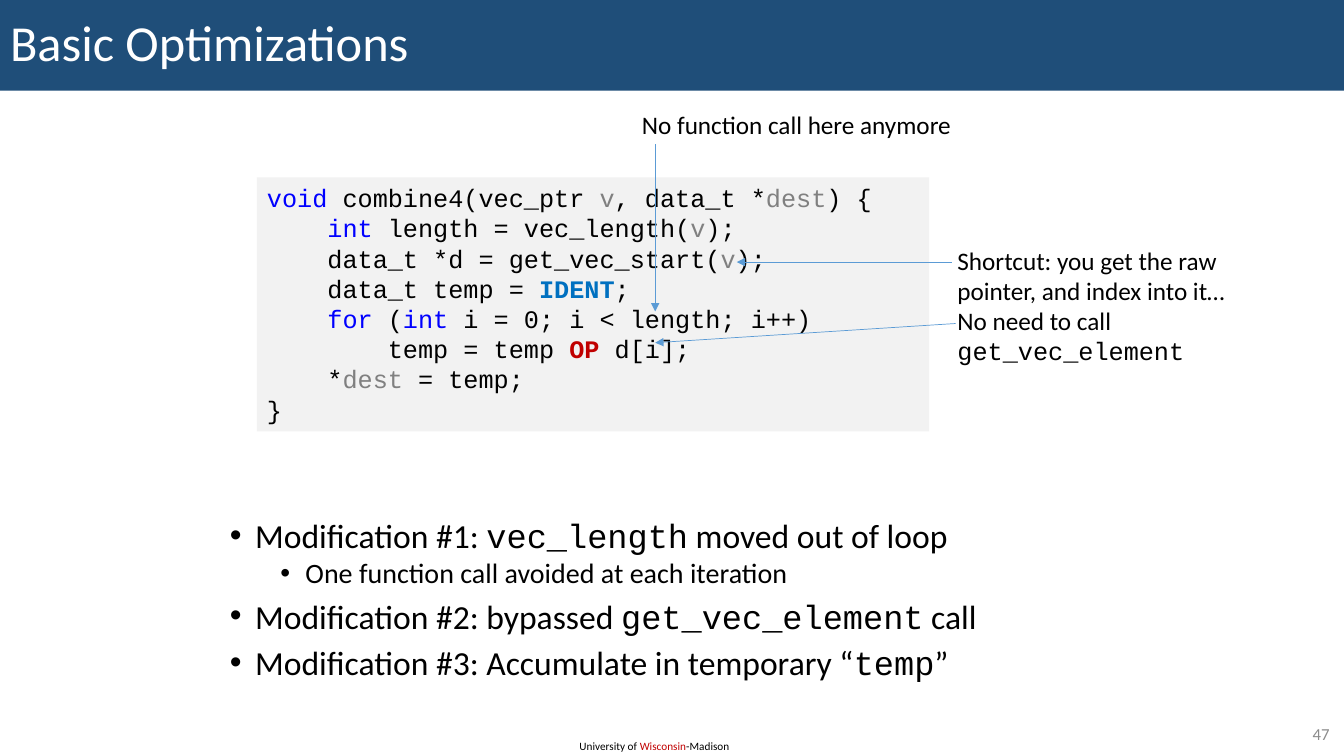
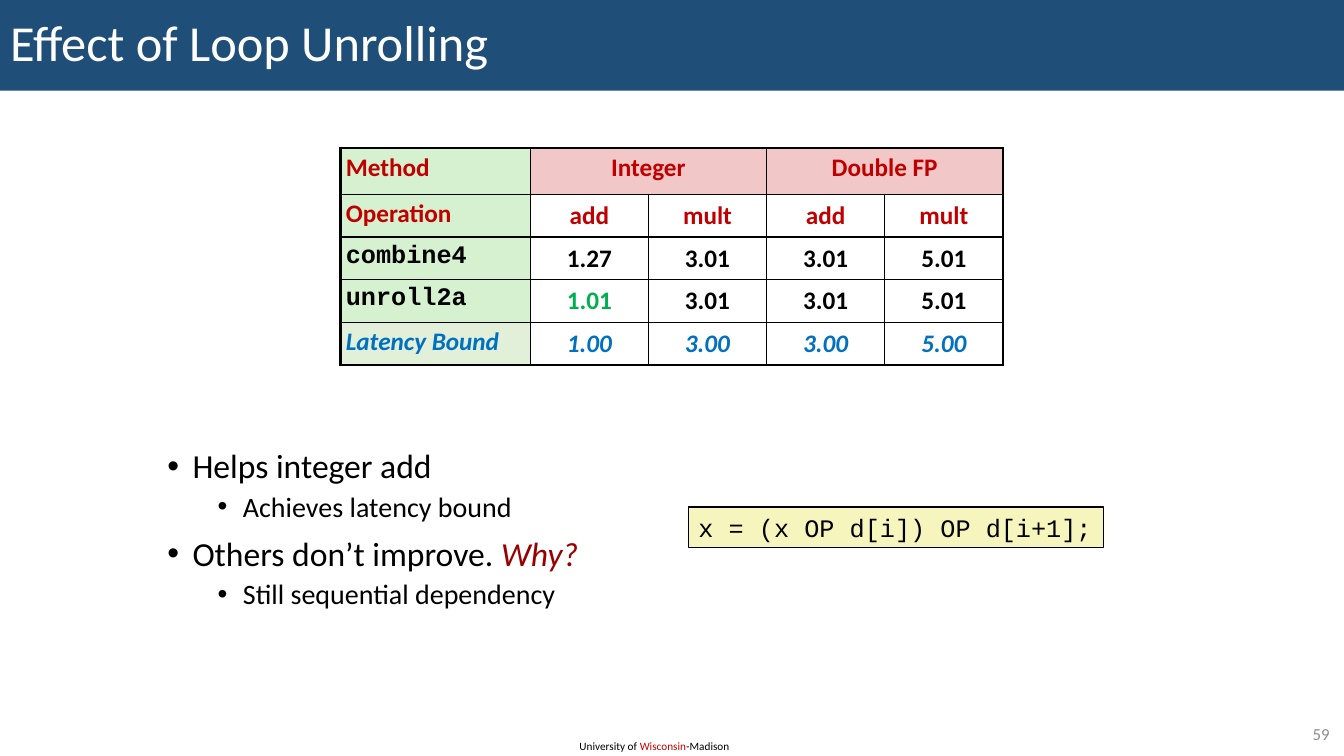
from dataclasses import dataclass
from typing import NamedTuple, Optional, Sequence

from lxml import etree
from pptx import Presentation
from pptx import util as u
from pptx.dml import color as dml
from pptx.enum import shapes, text
from pptx.oxml import ns

Pt = u.Pt


@dataclass(frozen=True)
class Theme:
    sans: str = "Calibri"
    mono: str = "Courier New"
    black: str = "000000"
    white: str = "FFFFFF"
    band: str = "1F4E79"
    red: str = "C00000"
    question: str = "990000"
    blue: str = "0070C0"
    green: str = "00B050"
    keyword: str = "0000FF"
    argument: str = "808080"
    page: str = "8C8C8C"
    arrow: str = "5B9BD5"
    code_fill: str = "F2F2F2"
    snippet_fill: str = "F6F5BD"
    method_fill: str = "D5F1CF"
    bound_fill: str = "E2F0D9"
    type_fill: str = "F1C7C7"
    title_size: float = 36
    bullet_sizes: tuple = (24, 20)
    text_size: float = 18
    page_size: float = 12
    footer_size: float = 8


THEME = Theme()


class Box(NamedTuple):
    left: float
    top: float
    width: float
    height: float

    def lengths(self) -> list:
        return [Pt(value) for value in self]


class Run(NamedTuple):
    text: str
    color: str = THEME.black
    font: str = THEME.sans
    bold: bool = False
    italic: bool = False


class Bullet(NamedTuple):
    level: int
    runs: Sequence[Run]


class Arrow(NamedTuple):
    x1: float
    y1: float
    x2: float
    y2: float


class Cell(NamedTuple):
    run: Run
    fill: Optional[str] = None
    span: int = 1


def code(words: str, color: str = THEME.black, bold: bool = False) -> Run:
    return Run(words, color, THEME.mono, bold)


def keyword(words: str) -> Run:
    return code(words, THEME.keyword)


def argument(words: str) -> Run:
    return code(words, THEME.argument)


def heading(words: str) -> Run:
    return Run(words, THEME.red, bold=True)


def rgb(value: str) -> dml.RGBColor:
    return dml.RGBColor.from_string(value)


def add_runs(paragraph, runs: Sequence[Run], size: float) -> None:
    """Append runs; a newline inside a run becomes a line break."""
    for item in runs:
        for index, line in enumerate(item.text.split("\n")):
            if index:
                paragraph.add_line_break()
            if not line:
                continue
            run = paragraph.add_run()
            run.text = line
            run.font.name, run.font.size = item.font, Pt(size)
            run.font.bold, run.font.italic = item.bold, item.italic
            run.font.color.rgb = rgb(item.color)


def paragraphs_for(frame, count: int) -> list:
    return [frame.paragraphs[0]] + [frame.add_paragraph() for _ in range(count - 1)]


def write_lines(frame, lines: Sequence[Sequence[Run]], size: float,
                align=text.PP_ALIGN.LEFT, spacing: Optional[float] = None) -> None:
    for paragraph, runs in zip(paragraphs_for(frame, len(lines)), lines):
        paragraph.alignment = align
        paragraph.line_spacing = spacing
        add_runs(paragraph, runs, size)


def add_label(slide, box: Box, runs: Sequence[Run], size: float = THEME.text_size):
    frame = slide.shapes.add_textbox(*box.lengths()).text_frame
    frame.word_wrap = False
    frame.auto_size = text.MSO_AUTO_SIZE.SHAPE_TO_FIT_TEXT
    write_lines(frame, [runs], size)


def add_code_panel(slide, box: Box, lines: Sequence[Sequence[Run]], fill: str,
                   outline: Optional[str] = None) -> None:
    panel = slide.shapes.add_shape(shapes.MSO_SHAPE.RECTANGLE, *box.lengths())
    panel.shadow.inherit = False
    panel.fill.solid()
    panel.fill.fore_color.rgb = rgb(fill)
    if outline:
        panel.line.color.rgb, panel.line.width = rgb(outline), Pt(1)
    else:
        panel.line.fill.background()
    frame = panel.text_frame
    frame.word_wrap = outline is None
    frame.auto_size = text.MSO_AUTO_SIZE.SHAPE_TO_FIT_TEXT
    frame.vertical_anchor = text.MSO_ANCHOR.TOP
    write_lines(frame, lines, THEME.text_size)


def add_arrow(slide, arrow: Arrow) -> None:
    connector = slide.shapes.add_connector(
        shapes.MSO_CONNECTOR.STRAIGHT, *[Pt(value) for value in arrow])
    connector.line.color.rgb, connector.line.width = rgb(THEME.arrow), Pt(0.5)
    properties = connector._element.spPr
    etree.SubElement(properties.find(ns.qn("a:ln")), ns.qn("a:tailEnd"), type="triangle")
    etree.SubElement(properties, ns.qn("a:effectLst"))


def place(placeholder, box: Box, anchor):
    placeholder.left, placeholder.top, placeholder.width, placeholder.height = box.lengths()
    frame = placeholder.text_frame
    frame.word_wrap = True
    frame.auto_size = text.MSO_AUTO_SIZE.NONE
    frame.vertical_anchor = anchor
    return frame


def add_bullets(slide, box: Box, bullets: Sequence[Bullet], spacing: float) -> None:
    frame = place(slide.placeholders[1], box, text.MSO_ANCHOR.TOP)
    for index, bullet in enumerate(bullets):
        paragraph = frame.paragraphs[0] if index == 0 else frame.add_paragraph()
        paragraph.level = bullet.level
        paragraph.line_spacing = spacing
        paragraph.space_before = Pt((10, 5)[bullet.level] if index else 0)
        properties = paragraph._p.get_or_add_pPr()
        properties.set("marL", str(Pt(18 + 36 * bullet.level)))
        properties.set("indent", str(Pt(-18)))
        etree.SubElement(properties, ns.qn("a:buFont"), typeface="Arial")
        etree.SubElement(properties, ns.qn("a:buChar"), char="•")
        add_runs(paragraph, bullet.runs, THEME.bullet_sizes[bullet.level])


def add_slide(deck, title: str, number: int):
    """Add a slide with the title band, footer and page number."""
    slide = deck.slides.add_slide(deck.slide_layouts[1])
    band = slide.shapes.title
    frame = place(band, Box(0, 0, 960, 64.8), text.MSO_ANCHOR.MIDDLE)
    band.fill.solid()
    band.fill.fore_color.rgb = rgb(THEME.band)
    write_lines(frame, [[Run(title, THEME.white)]], THEME.title_size, spacing=0.9)
    add_label(slide, Box(406.8, 524.2, 123.8, 17.3),
              [Run("University of "), Run("Wisconsin", THEME.red), Run("-Madison")],
              THEME.footer_size)
    page = slide.shapes.add_textbox(*Box(902.2, 513.4, 54.7, 20.9).lengths()).text_frame
    page.word_wrap = True
    page.vertical_anchor = text.MSO_ANCHOR.MIDDLE
    write_lines(page, [[Run(str(number), THEME.page)]], THEME.page_size,
                text.PP_ALIGN.RIGHT)
    return slide


def set_borders(cell, outer: dict) -> None:
    """Draw thick lines on the outer sides and thin ones elsewhere."""
    properties = cell._tc.get_or_add_tcPr()
    for side in "LRTB":
        width = Pt(2.25 if outer[side] else 1)
        line = etree.SubElement(properties, ns.qn(f"a:ln{side}"), w=str(width))
        fill = etree.SubElement(line, ns.qn("a:solidFill"))
        etree.SubElement(fill, ns.qn("a:srgbClr"), val=THEME.black)


def add_results(slide, left: float, top: float, widths: Sequence[float],
                heights: Sequence[float], rows: Sequence[Sequence[Cell]]) -> None:
    box = Box(left, top, sum(widths), sum(heights))
    table = slide.shapes.add_table(len(heights), len(widths), *box.lengths()).table
    table.first_row = table.horz_banding = False
    for column, width in zip(table.columns, widths):
        column.width = Pt(width)
    for r, (height, row) in enumerate(zip(heights, rows)):
        table.rows[r].height = Pt(height)
        c = 0
        for entry in row:
            end = c + entry.span
            for part in range(c, end):
                cell = table.cell(r, part)
                set_borders(cell, {"L": c == 0, "R": end == len(widths),
                                   "T": r == 0, "B": r == len(heights) - 1})
                if entry.fill:
                    cell.fill.solid()
                    cell.fill.fore_color.rgb = rgb(entry.fill)
                else:
                    cell.fill.background()
            cell = table.cell(r, c)
            if entry.span > 1:
                cell.merge(table.cell(r, end - 1))
            cell.margin_left = cell.margin_right = Pt(3.6)
            cell.margin_top = cell.margin_bottom = Pt(3.6)
            cell.vertical_anchor = (text.MSO_ANCHOR.TOP if entry.fill
                                    else text.MSO_ANCHOR.MIDDLE)
            align = text.PP_ALIGN.CENTER if c else text.PP_ALIGN.LEFT
            write_lines(cell.text_frame, [[entry.run]], THEME.text_size, align, 0.95)
            c = end


def build_optimizations(deck) -> None:
    slide = add_slide(deck, "Basic Optimizations", 47)
    add_bullets(slide, Box(157, 370, 622, 121), [
        Bullet(0, [Run("Modification #1: "), code("vec_length"), Run(" moved out of loop")]),
        Bullet(1, [Run("One function call avoided at each iteration")]),
        Bullet(0, [Run("Modification #2: bypassed "), code("get_vec_element"), Run(" call")]),
        Bullet(0, [Run("Modification #3: Accumulate in temporary “"), code("temp"), Run("”")]),
    ], 0.8)
    add_code_panel(slide, Box(183.6, 126.7, 480.2, 181.4), [
        [keyword("void"), code(" combine4(vec_ptr "), argument("v"), code(", data_t *"),
         argument("dest"), code(") {")],
        [code("    "), keyword("int"), code(" length = vec_length("), argument("v"), code(");")],
        [code("    data_t *d = get_vec_start("), argument("v"), code(");")],
        [code("    data_t temp = "), code("IDENT", THEME.blue, True), code(";")],
        [code("    "), keyword("for"), code(" ("), keyword("int"),
         code(" i = 0; i < length; i++)")],
        [code("        temp = temp "), code("OP", THEME.red, True), code(" d[i];")],
        [code("    *"), argument("dest"), code(" = temp;")],
        [code("}")],
    ], THEME.code_fill)
    add_label(slide, Box(676.8, 171.4, 279.4, 72.7), [
        Run("Shortcut: you get the raw\npointer, and index into it…\nNo need to call "),
        code("get_vec_element")])
    add_label(slide, Box(451.4, 74.2, 238.3, 28.8), [Run("No function call here anymore")])
    for arrow in (Arrow(679.7, 187.2, 526.3, 187.2), Arrow(682.6, 231.1, 468, 244.8),
                  Arrow(468, 103, 468, 222.5)):
        add_arrow(slide, arrow)


def build_unrolling(deck) -> None:
    slide = add_slide(deck, "Effect of Loop Unrolling", 59)
    add_bullets(slide, Box(112.3, 317.5, 654.5, 148.3), [
        Bullet(0, [Run("Helps integer add")]),
        Bullet(1, [Run("Achieves latency bound")]),
        Bullet(0, [Run("Others don’t improve. "), Run("Why?", THEME.question, italic=True)]),
        Bullet(1, [Run("Still sequential dependency")]),
    ], 0.9)
    add_code_panel(slide, Box(491.8, 362.2, 296.6, 28.8),
                   [[code("x = (x OP d[i]) OP d[i+1];")]], THEME.snippet_fill, THEME.black)

    def measured(method: str, first_color: str, values: Sequence[str]) -> list:
        colors = [first_color] + [THEME.black] * 3
        return [Cell(code(method, bold=True), THEME.method_fill)] + [
            Cell(Run(value, color, bold=True)) for value, color in zip(values, colors)]

    def bound(words: str) -> Run:
        return Run(words, THEME.blue, bold=True, italic=True)

    add_results(slide, 243.4, 105.8, [135.4] + [84.4] * 4, [33.1] + [30.5] * 4, [
        [Cell(heading("Method"), THEME.method_fill),
         *[Cell(heading(kind), THEME.type_fill, 2) for kind in ("Integer", "Double FP")]],
        [Cell(heading("Operation"), THEME.method_fill),
         *[Cell(heading(name)) for name in ("add", "mult") * 2]],
        measured("combine4", THEME.black, ("1.27", "3.01", "3.01", "5.01")),
        measured("unroll2a", THEME.green, ("1.01", "3.01", "3.01", "5.01")),
        [Cell(bound("Latency Bound"), THEME.bound_fill),
         *[Cell(bound(value)) for value in ("1.00", "3.00", "3.00", "5.00")]],
    ])


def main() -> None:
    deck = Presentation()
    deck.slide_width, deck.slide_height = Pt(960), Pt(540)
    build_optimizations(deck)
    build_unrolling(deck)
    deck.save("out.pptx")


if __name__ == "__main__":
    main()
